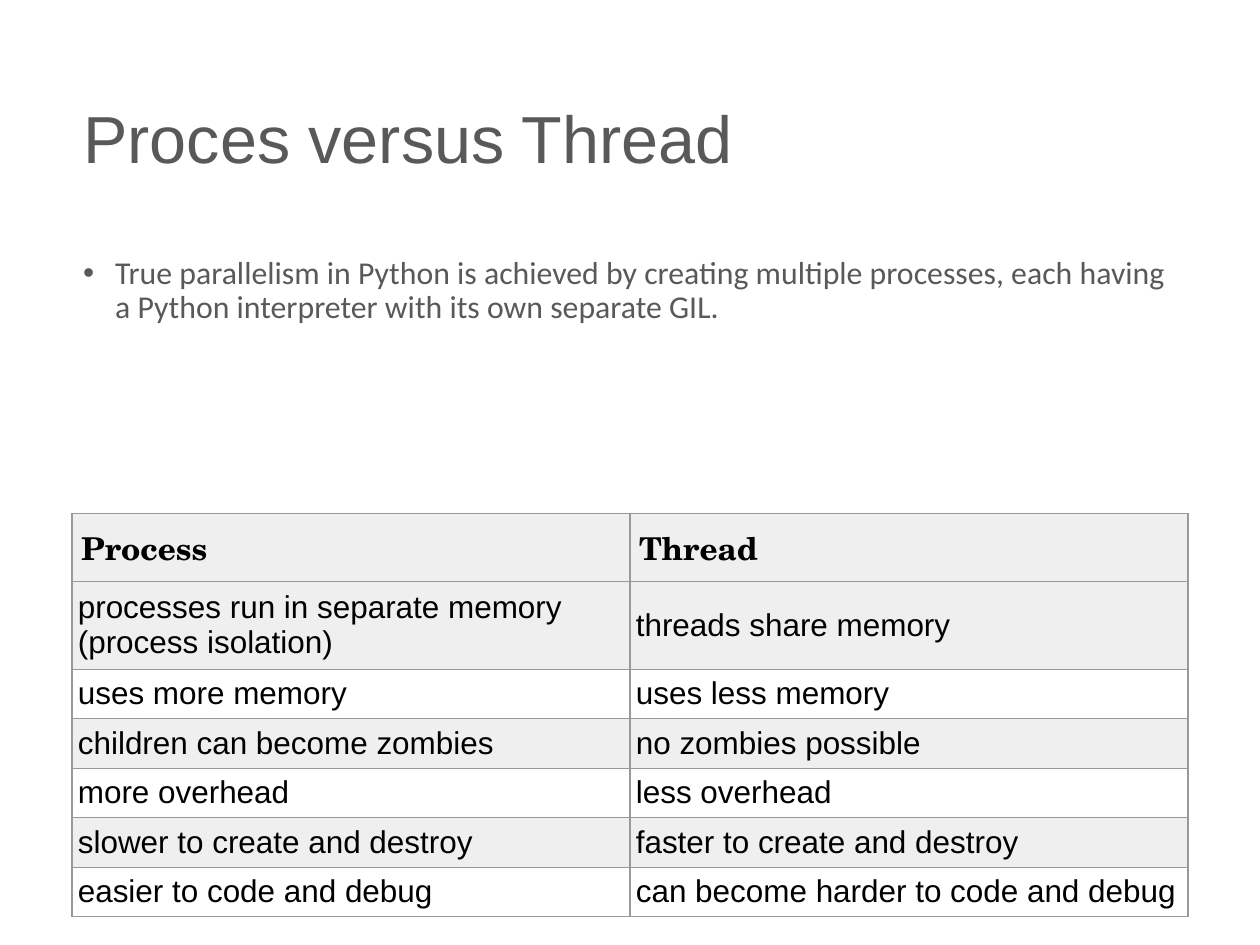
"""Build a slide comparing processes with threads in Python."""
from dataclasses import dataclass

from lxml.etree import SubElement
from pptx import Presentation
from pptx.dml.color import RGBColor
from pptx.enum.text import MSO_ANCHOR, MSO_AUTO_SIZE, PP_ALIGN
from pptx.oxml.ns import qn
from pptx.util import Cm, Pt

TITLE = "Proces versus Thread"
BULLET = ("True parallelism in Python is achieved by creating multiple processes, "
          "each having a Python interpreter with its own separate GIL.")
ROWS = [
    ("Process", "Thread"),
    ("processes run in separate memory (process isolation)", "threads share memory"),
    ("uses more memory", "uses less memory"),
    ("children can become zombies", "no zombies possible"),
    ("more overhead", "less overhead"),
    ("slower to create and destroy", "faster to create and destroy"),
    ("easier to code and debug", "can become harder to code and debug"),
]
HEADER_H, TALL_H, ROW_H = 1.51, 1.82, 1.04
LEFT, WIDTH = 1.6, 24.8
TABLE_TOP = 11.42


@dataclass(frozen=True)
class Theme:
    """Colours, fonts and type sizes of the slide."""
    grey: str = "595959"
    black: str = "000000"
    band: str = "EFEFEF"
    border: str = "999999"
    sans: str = "Arial"
    body: str = "Calibri"
    serif: str = "TeX Gyre Schola"
    title_pt: float = 41.9
    body_pt: float = 20
    cell_pt: float = 19.8


THEME = Theme()


def add_run(p, text, font, size, color, bold=False):
    """Add one formatted run to a paragraph."""
    r = p.add_run()
    r.text = text
    r.font.name, r.font.size, r.font.bold = font, Pt(size), bold
    r.font.color.rgb = RGBColor.from_string(color)


def add_title(s):
    """Place and format the title placeholder."""
    sp = s.shapes.title
    sp.left, sp.top, sp.width, sp.height = Cm(LEFT), Cm(1.12), Cm(WIDTH), Cm(4.06)
    tf = sp.text_frame
    tf.auto_size = MSO_AUTO_SIZE.NONE
    tf.vertical_anchor = MSO_ANCHOR.MIDDLE
    p = tf.paragraphs[0]
    p.alignment, p.line_spacing = PP_ALIGN.LEFT, 0.9
    add_run(p, TITLE, THEME.sans, THEME.title_pt, THEME.grey)


def add_bullet(s):
    """Add the bulleted statement below the title."""
    tf = s.shapes.add_textbox(Cm(LEFT), Cm(5.59), Cm(WIDTH), Cm(5)).text_frame
    tf.word_wrap = True
    p = tf.paragraphs[0]
    p.line_spacing = 0.9
    pPr = p._p.get_or_add_pPr()
    pPr.set("marL", str(Cm(0.71)))
    pPr.set("indent", str(-Cm(0.71)))
    SubElement(SubElement(pPr, qn("a:buClr")), qn("a:srgbClr"), val=THEME.grey)
    SubElement(pPr, qn("a:buFont"), typeface=THEME.sans)
    SubElement(pPr, qn("a:buChar"), char="•")
    add_run(p, BULLET, THEME.body, THEME.body_pt, THEME.grey)


def add_borders(cell):
    """Draw a thin line on all four sides of a cell."""
    tcPr = cell._tc.get_or_add_tcPr()
    for side in ("a:lnL", "a:lnR", "a:lnT", "a:lnB"):
        ln = SubElement(tcPr, qn(side), w=str(Pt(0.75)))
        SubElement(SubElement(ln, qn("a:solidFill")), qn("a:srgbClr"), val=THEME.border)


def format_cell(cell, text, row):
    """Fill one cell according to its row."""
    header = row == 0
    margin = Cm(0.2 if header else 0.13)
    cell.margin_left = cell.margin_right = margin
    cell.margin_top = cell.margin_bottom = margin
    cell.vertical_anchor = MSO_ANCHOR.MIDDLE
    add_borders(cell)
    if header or row % 2:
        cell.fill.solid()
        cell.fill.fore_color.rgb = RGBColor.from_string(THEME.band)
    else:
        cell.fill.background()
    font = THEME.serif if header else THEME.sans
    add_run(cell.text_frame.paragraphs[0], text, font, THEME.cell_pt, THEME.black, header)


def add_comparison(s):
    """Add the table of differences."""
    heights = [HEADER_H, TALL_H] + [ROW_H] * (len(ROWS) - 2)
    tbl = s.shapes.add_table(len(ROWS), len(ROWS[0]), Cm(LEFT), Cm(TABLE_TOP),
                             Cm(WIDTH), Cm(sum(heights))).table
    for i, (texts, height) in enumerate(zip(ROWS, heights)):
        tbl.rows[i].height = Cm(height)
        for j, text in enumerate(texts):
            format_cell(tbl.cell(i, j), text, i)


def main():
    """Create and save the presentation."""
    prs = Presentation()
    prs.slide_width, prs.slide_height = Cm(28), Cm(21)
    s = prs.slides.add_slide(prs.slide_layouts[5])
    add_title(s)
    add_bullet(s)
    add_comparison(s)
    prs.save("out.pptx")


if __name__ == "__main__":
    main()
